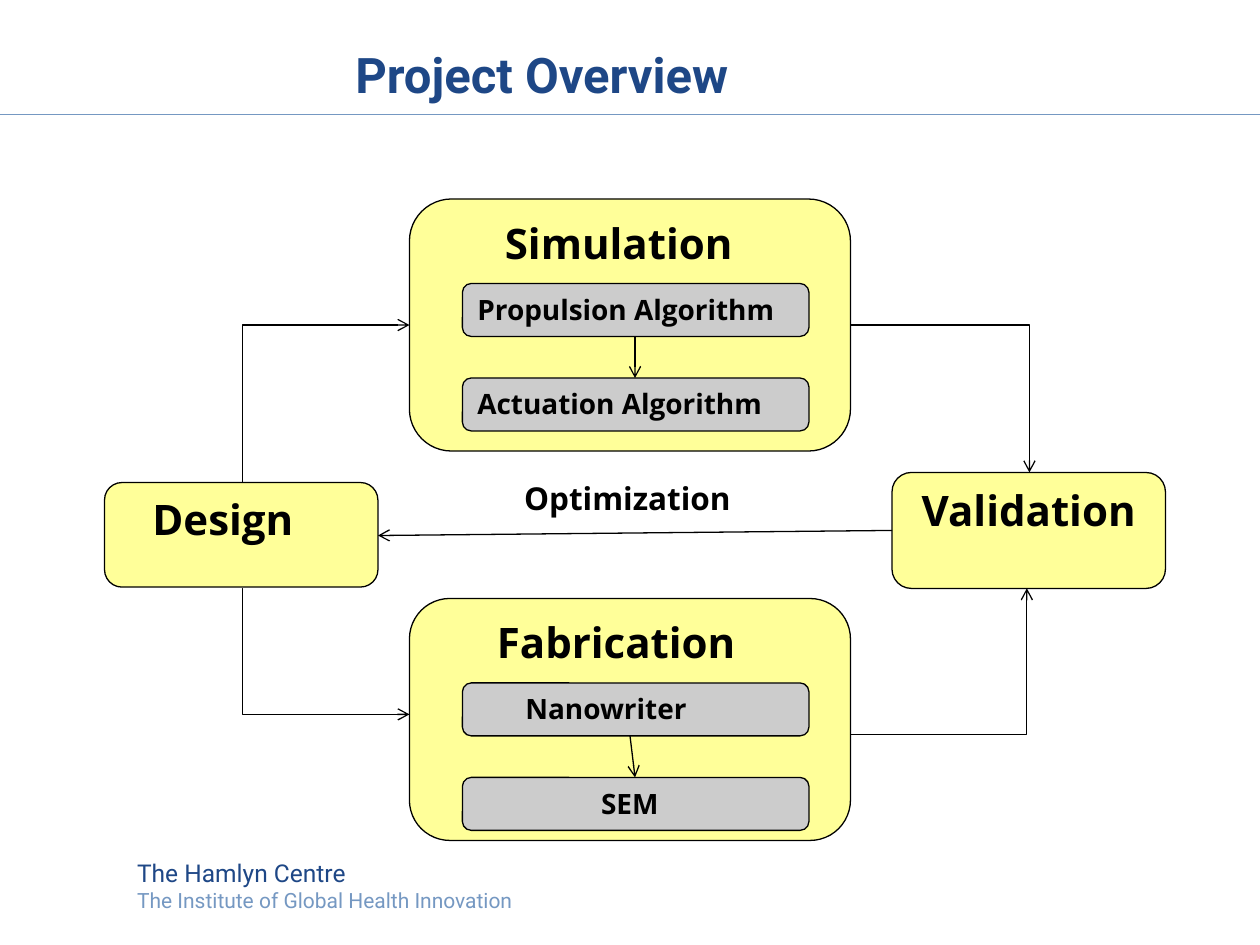
from lxml import etree
from pptx import Presentation
from pptx.dml.color import RGBColor
from pptx.enum.shapes import MSO_CONNECTOR, MSO_SHAPE
from pptx.enum.text import MSO_ANCHOR, PP_ALIGN
from pptx.oxml.ns import qn
from pptx.util import Inches, Pt

NAVY, STEEL, BLACK = "1E4786", "7598C2", "000000"
YELLOW, GREY = "FFFF99", "CCCCCC"


def rgb(value):
    return RGBColor.from_string(value)


def style(paragraph, size, color, font, bold=False):
    paragraph.alignment = PP_ALIGN.LEFT
    paragraph.font.size = Pt(size)
    paragraph.font.name = font
    paragraph.font.bold = bold
    paragraph.font.color.rgb = rgb(color)


def place(shape, box):
    shape.left, shape.top, shape.width, shape.height = map(Inches, box)


def add_title(slide, box, text, indent):
    title = slide.shapes.title
    place(title, box)
    frame = title.text_frame
    frame.text = text
    frame.margin_left = Inches(indent)
    frame.vertical_anchor = MSO_ANCHOR.MIDDLE
    style(frame.paragraphs[0], 28, NAVY, "Roboto", True)


def add_footer(slide, box):
    frame = slide.shapes.add_textbox(*map(Inches, box)).text_frame
    frame.word_wrap = False
    frame.text = "The Hamlyn Centre\nThe Institute of Global Health Innovation"
    centre, institute = frame.paragraphs
    style(centre, 14, NAVY, "Roboto")
    style(institute, 12, STEEL, "Roboto")


def add_box(slide, box, text, size, fill, indent):
    node = slide.shapes.add_shape(MSO_SHAPE.ROUNDED_RECTANGLE, *map(Inches, box))
    node.shadow.inherit = False
    node.fill.solid()
    node.fill.fore_color.rgb = rgb(fill)
    node.line.color.rgb = rgb(BLACK)
    node.line.width = Pt(0.75)
    frame = node.text_frame
    frame.text = text
    frame.margin_left = Inches(indent)
    frame.vertical_anchor = MSO_ANCHOR.TOP
    style(frame.paragraphs[0], size, BLACK, "Open Sans", True)


def add_label(slide, box, text, indent):
    frame = slide.shapes.add_textbox(*map(Inches, box)).text_frame
    frame.word_wrap = True
    frame.text = text
    frame.margin_left = Inches(indent)
    style(frame.paragraphs[0], 18, BLACK, "Open Sans", True)


def add_line(slide, start, end, color=BLACK, kind=MSO_CONNECTOR.STRAIGHT):
    line = slide.shapes.add_connector(kind, *map(Inches, (*start, *end)))
    line.line.color.rgb = rgb(color)
    line.line.width = Pt(0.75)
    etree.SubElement(line._element.spPr, qn("a:effectLst"))
    return line


def add_arrow(slide, start, end, kind=MSO_CONNECTOR.STRAIGHT):
    arrow = add_line(slide, start, end, kind=kind)
    etree.SubElement(arrow.line._get_or_add_ln(), qn("a:tailEnd"), type="arrow")
    return arrow


def add_elbow(slide, start, end, vertical_first):
    elbow = add_arrow(slide, start, end, MSO_CONNECTOR.ELBOW)
    geometry = elbow._element.spPr.find(qn("a:prstGeom"))
    if vertical_first:
        guides = geometry.find(qn("a:avLst"))
        if guides is None:
            guides = etree.SubElement(geometry, qn("a:avLst"))
        etree.SubElement(guides, qn("a:gd"), name="adj1", fmla="val 300")
    else:
        geometry.set("prst", "bentConnector2")


def add_stage(slide, box, heading, indent, steps, arrow_start):
    left, top, width, _ = box
    add_box(slide, box, heading, 24, YELLOW, indent)
    step_height, pitch, first = 0.42, 0.75, top + 0.67
    for row, (text, step_indent) in enumerate(steps):
        step_box = (left + 0.42, first + row * pitch, 2.75, step_height)
        add_box(slide, step_box, text, 16, GREY, step_indent)
    add_arrow(slide, (left + arrow_start, first + step_height),
              (left + 1.79, first + pitch))


def add_flow(slide):
    add_stage(slide, (3.25, 1.58, 3.5, 2), "Simulation", 0.66,
              [("Propulsion Algorithm", 0.1), ("Actuation Algorithm", 0.1)], 1.79)
    add_stage(slide, (3.25, 4.75, 3.5, 1.92), "Fabrication", 0.6,
              [("Nanowriter", 0.48), ("SEM", 1.08)], 1.75)
    add_box(slide, (0.83, 3.83, 2.17, 0.83), "Design", 24, YELLOW, 0.34)
    add_box(slide, (7.08, 3.75, 2.17, 0.92), "Validation", 24, YELLOW, 0.19)
    add_elbow(slide, (1.92, 3.83), (3.25, 2.58), True)
    add_elbow(slide, (1.92, 4.67), (3.25, 5.67), True)
    add_elbow(slide, (6.75, 2.58), (8.17, 3.75), False)
    add_elbow(slide, (6.75, 5.83), (8.15, 4.67), False)
    add_arrow(slide, (7.08, 4.21), (3, 4.25))
    add_label(slide, (3.75, 3.75, 2.83, 0.4), "Optimization", 0.41)


def main():
    deck = Presentation()
    deck.slide_width, deck.slide_height = Inches(10), Inches(7.5)
    slide = deck.slides.add_slide(deck.slide_layouts[5])
    add_line(slide, (0, 0.91), (10, 0.91), STEEL)
    add_footer(slide, (0.99, 6.76, 3.26, 0.54))
    add_title(slide, (-0.25, 0.25, 9, 0.67), "Project Overview", 3.07)
    add_flow(slide)
    deck.save("out.pptx")


if __name__ == "__main__":
    main()
